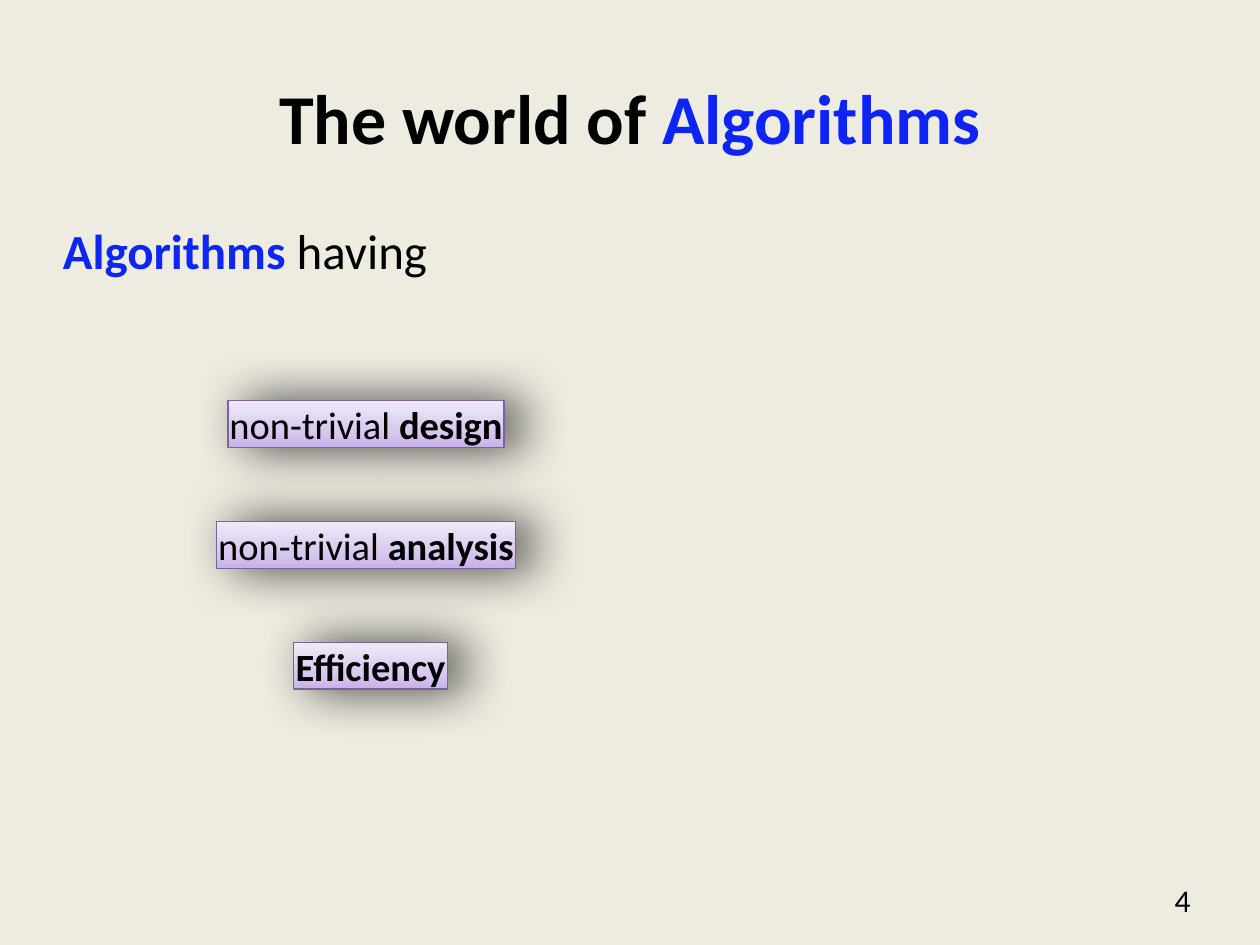
from lxml.etree import SubElement
from pptx import Presentation
from pptx.dml.color import RGBColor
from pptx.enum.shapes import MSO_SHAPE as Shape
from pptx.enum.text import MSO_ANCHOR as Anchor, MSO_AUTO_SIZE as AutoSize, PP_ALIGN as Align
from pptx.oxml.ns import qn
from pptx.util import Inches, Pt

BACKGROUND = RGBColor(0xEE, 0xEC, 0xE1)
BLACK = RGBColor(0x00, 0x00, 0x00)
TITLE_BLUE = RGBColor(0x0D, 0x24, 0xF7)
BODY_BLUE = RGBColor(0x0D, 0x26, 0xF6)
BORDER = RGBColor(0x7D, 0x60, 0xA0)
GRADIENT = [
    (0, RGBColor(0xC8, 0xB2, 0xE9)),
    (35, RGBColor(0xD8, 0xC9, 0xEE)),
    (100, RGBColor(0xF0, 0xEA, 0xF9)),
]


class SlideBuilder:
    """Places styled elements on a grid of 20 columns and 15 rows."""

    font = "Calibri"
    cell = Inches(0.5)

    def __init__(self, presentation):
        presentation.slide_width = 20 * self.cell
        presentation.slide_height = 15 * self.cell
        self.slide = presentation.slides.add_slide(presentation.slide_layouts[6])
        fill = self.slide.background.fill
        fill.solid()
        fill.fore_color.rgb = BACKGROUND

    def place(self, *cells):
        return [round(value * self.cell) for value in cells]

    def set_text(self, shape, runs, size, align, anchor, wrap=True, side=0):
        """Fill a shape with one paragraph of (text, bold, colour) runs."""
        frame = shape.text_frame
        frame.word_wrap = wrap
        frame.vertical_anchor = anchor
        frame.margin_top = frame.margin_bottom = 0
        frame.margin_left = frame.margin_right = Inches(side)
        paragraph = frame.paragraphs[0]
        paragraph.alignment = align
        paragraph.font.name = self.font
        paragraph.font.size = Pt(size)
        for text, bold, colour in runs:
            run = paragraph.add_run()
            run.text = text
            run.font.bold = bold
            run.font.color.rgb = colour

    def text(self, cells, runs, size, align=Align.LEFT, anchor=Anchor.TOP, side=0):
        shape = self.slide.shapes.add_textbox(*self.place(*cells))
        self.set_text(shape, runs, size, align, anchor, side=side)

    def label(self, centre, row, width, runs):
        """Add a gradient box with a soft shadow, centred on a column."""
        cells = self.place(centre - width / 2, row, width, 0.74)
        shape = self.slide.shapes.add_shape(Shape.RECTANGLE, *cells)
        shape.line.color.rgb = BORDER
        shape.line.width = Pt(0.75)
        self.shade(shape)
        self.cast_shadow(shape)
        self.set_text(shape, runs, 22, Align.CENTER, Anchor.TOP, wrap=False)
        shape.text_frame.auto_size = AutoSize.SHAPE_TO_FIT_TEXT

    def shade(self, shape):
        shape.fill.gradient()
        shape.fill.gradient_angle = 90
        stops = shape._element.spPr.find(".//" + qn("a:gsLst"))
        for stop in list(stops):
            stops.remove(stop)
        for position, colour in GRADIENT:
            stop = SubElement(stops, qn("a:gs"), pos=str(position * 1000))
            SubElement(stop, qn("a:srgbClr"), val=str(colour))

    def cast_shadow(self, shape):
        shape.shadow.inherit = False
        effects = shape._element.spPr.find(qn("a:effectLst"))
        shadow = SubElement(effects, qn("a:outerShdw"), blurRad=str(Pt(30)),
                            dist=str(Pt(9.4)), dir="0", algn="ctr", rotWithShape="0")
        colour = SubElement(shadow, qn("a:srgbClr"), val=str(BLACK))
        SubElement(colour, qn("a:alpha"), val="75000")


def main():
    presentation = Presentation()
    builder = SlideBuilder(presentation)

    # Title and lead-in
    builder.text((1, 0.6, 18, 2.5),
                 [("The world of ", True, BLACK), ("Algorithms", True, TITLE_BLUE)],
                 40, Align.CENTER, Anchor.MIDDLE)
    builder.text((1, 3.5, 18, 9.9),
                 [("Algorithms", True, BODY_BLUE), (" having", False, BLACK)], 28)

    # Properties of the algorithms, evenly stacked
    properties = [
        (5.81, 4.38, "non-trivial ", "design"),
        (5.81, 4.74, "non-trivial ", "analysis"),
        (5.88, 2.44, "", "Efficiency"),
    ]
    for index, (centre, width, plain, strong) in enumerate(properties):
        runs = [(plain, False, BLACK)] if plain else []
        builder.label(centre, 6.36 + 1.92 * index, width, runs + [(strong, True, BLACK)])

    # Slide number
    builder.text((14.34, 14, 4.66, 0.58), [("4", False, BLACK)], 18,
                 Align.RIGHT, Anchor.MIDDLE, side=0.05)

    presentation.save("out.pptx")


if __name__ == "__main__":
    main()
